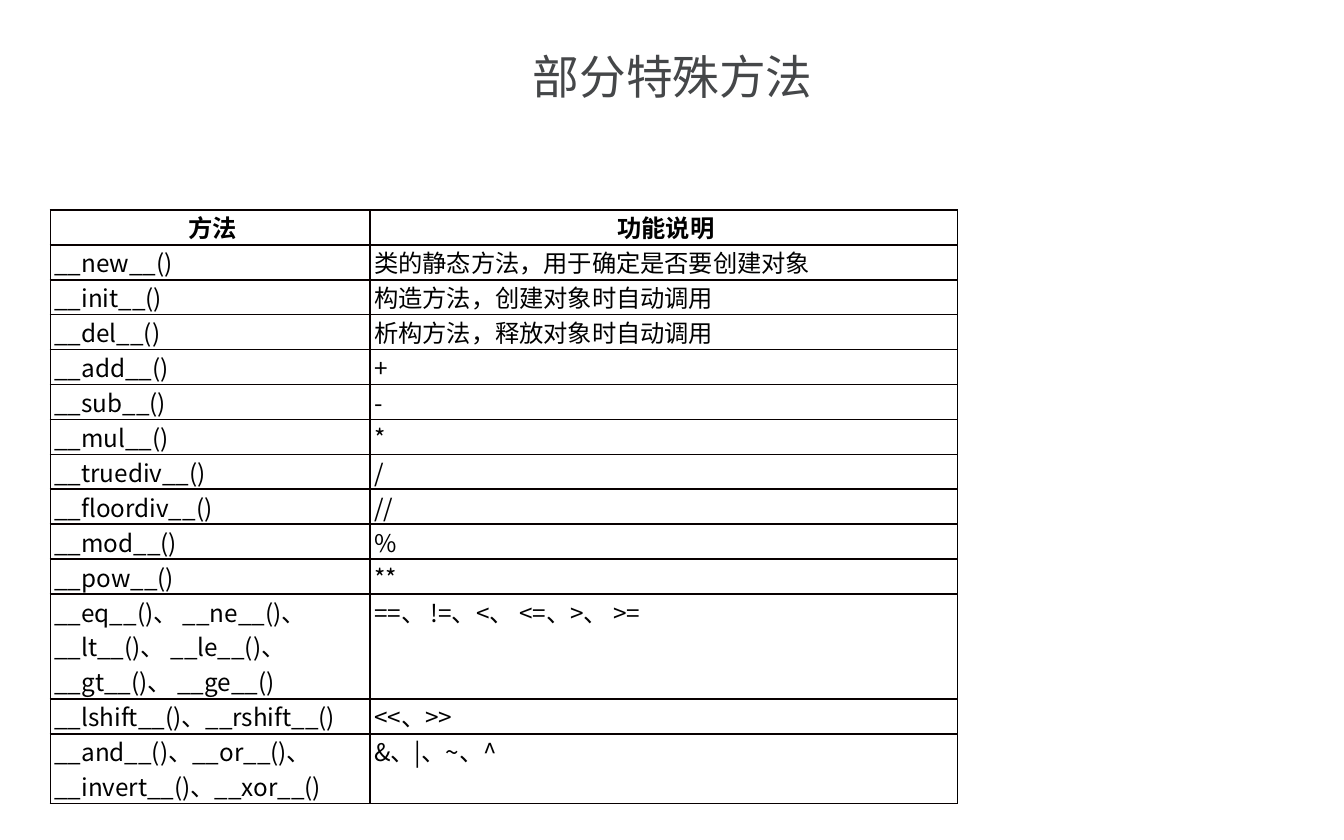
from dataclasses import dataclass, field
from typing import Any

from lxml import etree
from pptx import Presentation, util as u
from pptx.dml.color import RGBColor
from pptx.enum import text
from pptx.oxml.ns import qn

COLORS = {"title": "454749", "body": "000000", "border": "080000", "edge": "000000"}
FONTS = {"title": "Noto Sans Mono", "body": "Noto Sans CJK SC"}
UNIT = u.Inches(0.1)
LINE_ROWS = 2.6

METHODS = [
    ("方法", "功能说明", 1),
    ("__new__()", "类的静态方法，用于确定是否要创建对象", 1),
    ("__init__()", "构造方法，创建对象时自动调用", 1),
    ("__del__()", "析构方法，释放对象时自动调用", 1),
    ("__add__()", "+", 1),
    ("__sub__()", "-", 1),
    ("__mul__()", "*", 1),
    ("__truediv__()", "/", 1),
    ("__floordiv__()", "//", 1),
    ("__mod__()", "%", 1),
    ("__pow__()", "**", 1),
    ("__eq__()、 __ne__()、__lt__()、 __le__()、__gt__()、 __ge__()",
     "==、 !=、<、 <=、>、 >=", 3),
    ("__lshift__()、__rshift__()", "<<、>>", 1),
    ("__and__()、__or__()、__invert__()、__xor__()", "&、|、~、^", 2),
]


def grid(*cells):
    return [u.Emu(round(cell * UNIT)) for cell in cells]


def write(frame, words, role="body", size=13, bold=False, align=text.PP_ALIGN.LEFT):
    paragraph = frame.paragraphs[0]
    paragraph.alignment = align
    run = paragraph.add_run()
    run.text = words
    run.font.name = FONTS[role]
    run.font.size = u.Pt(size)
    run.font.bold = bold
    run.font.color.rgb = RGBColor.from_string(COLORS[role])
    etree.SubElement(run.font._element, qn("a:ea"), typeface=FONTS[role])


def draw_border(cell, sides):
    properties = cell._tc.get_or_add_tcPr()
    for position, (side, (color, points)) in enumerate(sides.items()):
        line = etree.Element(qn(f"a:ln{side}"), w=str(u.Pt(points)))
        fill = etree.SubElement(line, qn("a:solidFill"))
        etree.SubElement(fill, qn("a:srgbClr"), val=COLORS[color])
        properties.insert(position, line)


@dataclass
class Deck:
    slide: Any
    rule: tuple = ("border", 1)
    edge: tuple = ("edge", 0.75)
    header: dict = field(
        default_factory=lambda: {"bold": True, "align": text.PP_ALIGN.CENTER})

    def title(self, words, left, top, width, height):
        frame = self.slide.shapes.add_textbox(*grid(left, top, width, height)).text_frame
        frame.word_wrap = True
        frame.vertical_anchor = text.MSO_ANCHOR.MIDDLE
        frame.margin_left = frame.margin_right = frame.margin_top = frame.margin_bottom = 0
        write(frame, words, role="title", size=25, align=text.PP_ALIGN.CENTER)

    def table(self, entries, left, top, widths):
        heights = [LINE_ROWS * lines for *_, lines in entries]
        box = grid(left, top, sum(widths), sum(heights))
        table = self.slide.shapes.add_table(len(entries), len(widths), *box).table
        table.first_row = table.horz_banding = False
        for column, width in zip(table.columns, grid(*widths)):
            column.width = width
        for row, height in zip(table.rows, grid(*heights)):
            row.height = height
        for r, (*words, _) in enumerate(entries):
            for c, content in enumerate(words):
                self.cell(table.cell(r, c), content, r == 0, c == len(widths) - 1)

    def cell(self, cell, words, is_header, is_last):
        cell.margin_left = u.Inches(0.03)
        cell.margin_right = cell.margin_top = cell.margin_bottom = 0
        cell.fill.background()
        sides = dict.fromkeys("LRTB", self.rule)
        if is_last:
            sides["R"] = self.edge
        draw_border(cell, sides)
        write(cell.text_frame, words, **(self.header if is_header else {}))


def main():
    show = Presentation()
    show.slide_width, show.slide_height = grid(100, 62.5)
    deck = Deck(show.slides.add_slide(show.slide_layouts[6]))
    deck.title("部分特殊方法", 5.5, 3.4, 89.1, 4.5)
    deck.table(METHODS, 3.75, 15.62, [23.8, 43.7])
    show.save("out.pptx")


if __name__ == "__main__":
    main()
